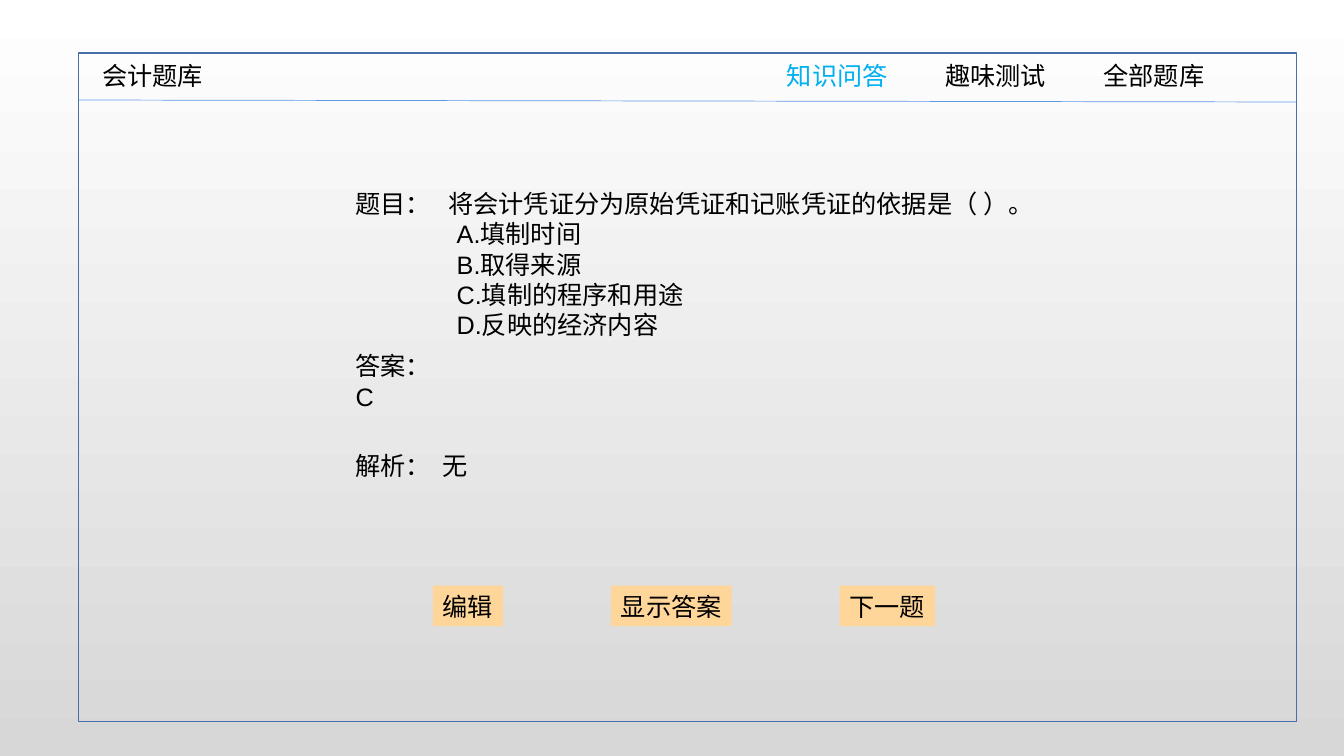
"""Build the accounting quiz slide with its navigation bar, question and buttons."""
from dataclasses import dataclass

from lxml.etree import SubElement
from pptx import Presentation
from pptx.dml.color import RGBColor as Rgb
from pptx.enum.shapes import MSO_CONNECTOR as Connector, MSO_SHAPE as Shape
from pptx.enum.text import MSO_ANCHOR as Anchor, MSO_AUTO_SIZE as AutoSize, PP_ALIGN as Align
from pptx.oxml.ns import qn
from pptx.util import Cm, Pt


@dataclass(frozen=True)
class Theme:
    font: str = "Arial"
    size: Pt = Pt(18)
    ink: Rgb = Rgb(0x00, 0x00, 0x00)
    active: Rgb = Rgb(0x00, 0xB0, 0xF0)
    frame: Rgb = Rgb(0x47, 0x6F, 0xAA)
    rule: Rgb = Rgb(0x60, 0x96, 0xE6)
    button: Rgb = Rgb(0xFF, 0xD6, 0x99)
    sky: Rgb = Rgb(0xFF, 0xFF, 0xFF)
    ground: Rgb = Rgb(0xD7, 0xD7, 0xD7)


theme = Theme()


def place(box, left, top, width, height, wrap=False):
    box.left, box.top, box.width, box.height = Cm(left), Cm(top), Cm(width), Cm(height)
    frame = box.text_frame
    frame.auto_size, frame.word_wrap = AutoSize.NONE, wrap
    frame.vertical_anchor = Anchor.TOP
    frame.margin_left = frame.margin_right = Cm(0.25)
    frame.margin_top = frame.margin_bottom = Cm(0.13)
    return frame


def write(para, text, color=theme.ink, indent=0, hanging=0, align=Align.LEFT):
    para.alignment = align
    para.space_before = para.space_after = Pt(0)
    properties = para._p.get_or_add_pPr()
    properties.set("marL", str(Cm(indent)))
    properties.set("indent", str(-Cm(hanging)))
    SubElement(properties, qn("a:buNone"))
    span = para.add_run()
    span.text = text
    span.font.name, span.font.size = theme.font, theme.size
    span.font.color.rgb = color


deck = Presentation()
deck.slide_width, deck.slide_height = Cm(33.87), Cm(19.05)
slide = deck.slides.add_slide(deck.slide_layouts[1])
shapes = slide.shapes
title, question = slide.placeholders

backdrop = slide.background.fill
backdrop.gradient()
backdrop.gradient_angle = 270
for stop, color in zip(backdrop.gradient_stops, (theme.sky, theme.ground)):
    stop.color.rgb = color

panel = shapes.add_shape(Shape.RECTANGLE, Cm(1.98), Cm(1.34), Cm(30.7), Cm(16.85))
panel.shadow.inherit = False
panel.fill.background()
panel.line.color.rgb, panel.line.width = theme.frame, Pt(1)

divider = shapes.add_connector(Connector.STRAIGHT, Cm(1.98), Cm(2.52), Cm(32.67), Cm(2.57))
divider.line.color.rgb, divider.line.width = theme.rule, Pt(0.5)
SubElement(divider._element.spPr, qn("a:effectLst"))

frame = place(title, 2.33, 1.38, 4, 1.02, wrap=True)
write(frame.paragraphs[0], "会计题库")

tabs = [("知识问答", theme.active), ("趣味测试", theme.ink), ("全部题库", theme.ink)]
for index, (label, color) in enumerate(tabs):
    tab = shapes.add_textbox(0, 0, 0, 0)
    frame = place(tab, 19.58 + 3.99 * index, 1.38, 3.04, 1.02)
    write(frame.paragraphs[0], label, color)

frame = place(question, 8.71, 4.62, 18.5, 4.09, wrap=True)
write(frame.paragraphs[0], "题目：\t将会计凭证分为原始凭证和记账凭证的依据是（ ）。",
      indent=2.34, hanging=2.34)
for option in ("A.填制时间", "B.取得来源", "C.填制的程序和用途", "D.反映的经济内容"):
    write(frame.add_paragraph(), option, indent=2.55)

answer = shapes.add_textbox(0, 0, 0, 0)
frame = place(answer, 8.71, 8.71, 3.23, 1.8)
write(frame.paragraphs[0], "答案：")
write(frame.add_paragraph(), "C")

analysis = shapes.add_textbox(0, 0, 0, 0)
frame = place(analysis, 8.71, 11.23, 3.6, 1.02, wrap=True)
write(frame.paragraphs[0], "解析：\t无", indent=2.18, hanging=2.18)

left = 10.91
for label in ("编辑", "显示答案", "下一题"):
    width = 0.5 + 0.635 * len(label)
    button = shapes.add_shape(Shape.RECTANGLE, 0, 0, 0, 0)
    button.shadow.inherit = False
    button.fill.solid()
    button.fill.fore_color.rgb = theme.button
    button.line.fill.background()
    frame = place(button, left, 14.76, width, 1.02)
    write(frame.paragraphs[0], label, align=Align.CENTER)
    left += width + 2.72

deck.save("out.pptx")
